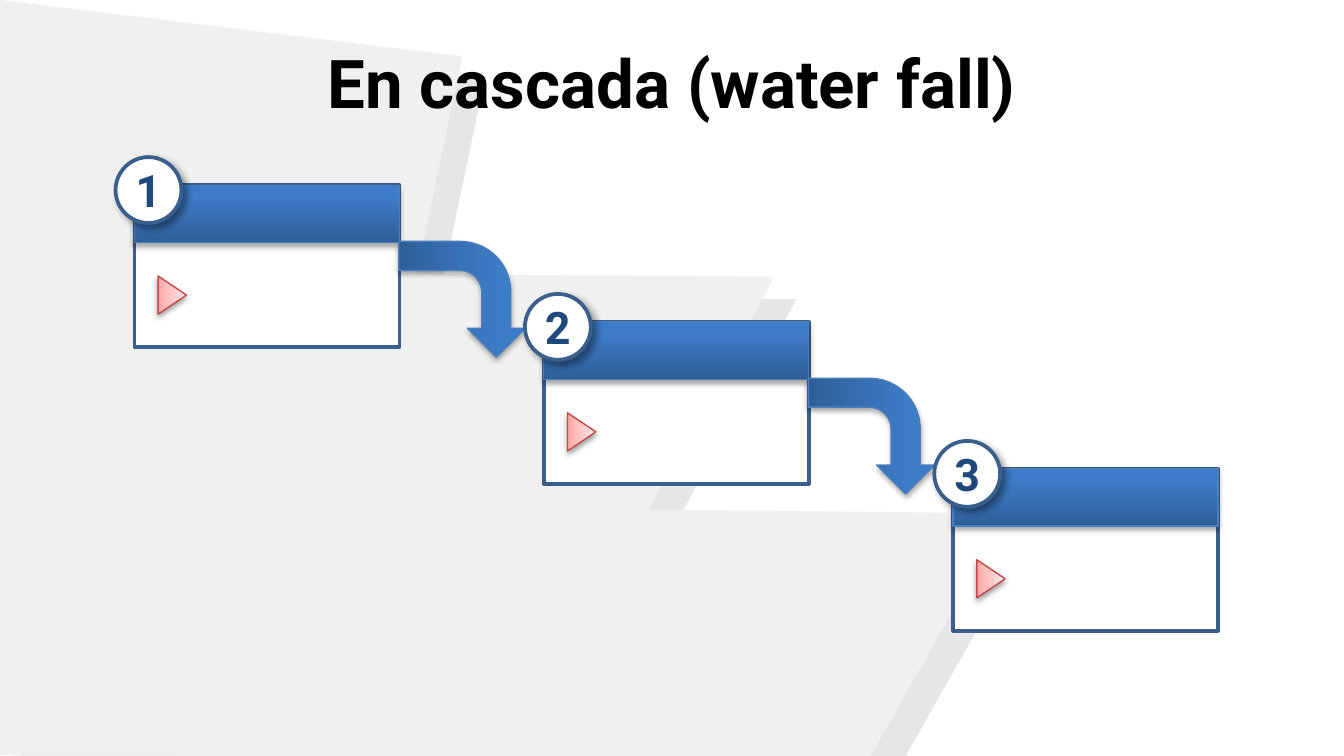
from pptx import Presentation
from pptx.dml.color import RGBColor
from pptx.enum.shapes import MSO_SHAPE
from pptx.enum.text import MSO_ANCHOR, PP_ALIGN
from pptx.oxml import parse_xml
from pptx.oxml.ns import nsdecls, qn
from pptx.util import Pt

COLORS = {
    "white": "FFFFFF", "black": "000000", "band": "F0F0F0", "band_shade": "E6E6E6",
    "frame": "3A5F8C", "edge": "4B7EBC", "number": "1F497D", "marker": "BF4C48",
}
BLUE = [(0, "2F5F99"), (80, "3D7CC7"), (100, "3A7CCB")]
PINK = [(0, "FFA6A5"), (35, "FFC0BF"), (100, "FFE7E7")]
SOFT = (35, 3.1, 1.8, 90)
FAINT = (38, 3.1, 1.6, 90)
DIAGONAL = (40, 4, 3, 45)
BAND = [(0, 0), (247.7, 30.2), (223.2, 146.9), (414.7, 148.3),
        (347.8, 272.9), (540, 275), (465.8, 406), (-0.7, 404.6)]


class Deck:
    font = "Roboto"

    def __init__(self):
        self.prs = Presentation()
        self.prs.slide_width, self.prs.slide_height = Pt(720), Pt(405)
        self.s = self.prs.slides.add_slide(self.prs.slide_layouts[6])

    def color(self, name):
        return RGBColor.from_string(COLORS[name])

    def polygon(self, points, fill, shift=0):
        pts = [(Pt(x + shift), Pt(y + shift)) for x, y in points]
        fb = self.s.shapes.build_freeform(*pts[0], scale=1.0)
        fb.add_line_segments(pts[1:], close=True)
        sp = fb.convert_to_shape()
        sp.shadow.inherit = False
        sp.fill.solid()
        sp.fill.fore_color.rgb = self.color(fill)
        sp.line.fill.background()

    def shape(self, kind, x, y, w, h, fill, line, width, shadow=None, rotation=0):
        sp = self.s.shapes.add_shape(kind, Pt(x), Pt(y), Pt(w), Pt(h))
        sp.rotation = rotation
        if isinstance(fill, list):
            self.gradient(sp, fill)
        else:
            sp.fill.solid()
            sp.fill.fore_color.rgb = self.color(fill)
        sp.line.color.rgb = self.color(line)
        sp.line.width = Pt(width)
        sp.shadow.inherit = False
        if shadow:
            self.shadow(sp, *shadow)
        return sp

    def gradient(self, sp, stops):
        sp.fill.gradient()
        sp.fill.gradient_angle = 90
        gs_list = next(sp._element.spPr.iter(qn("a:gsLst")))
        for gs in list(gs_list):
            gs_list.remove(gs)
        for pos, rgb in stops:
            gs_list.append(parse_xml(
                f'<a:gs {nsdecls("a")} pos="{pos * 1000}"><a:srgbClr val="{rgb}"/></a:gs>'))

    def shadow(self, sp, alpha, blur, dist, angle):
        sp._element.spPr.find(qn("a:effectLst")).append(parse_xml(
            f'<a:outerShdw {nsdecls("a")} blurRad="{Pt(blur)}" dist="{Pt(dist)}" '
            f'dir="{angle * 60000}" rotWithShape="0"><a:srgbClr val="{COLORS["black"]}">'
            f'<a:alpha val="{alpha * 1000}"/></a:srgbClr></a:outerShdw>'))

    def text(self, sp, text, size, color):
        tf = sp.text_frame
        tf.word_wrap = True
        tf.vertical_anchor = MSO_ANCHOR.MIDDLE
        tf.margin_left = tf.margin_right = tf.margin_top = tf.margin_bottom = 0
        p = tf.paragraphs[0]
        p.alignment = PP_ALIGN.CENTER
        r = p.add_run()
        r.text = text
        r.font.name, r.font.size, r.font.bold = self.font, Pt(size), True
        r.font.color.rgb = self.color(color)

    def title(self, text):
        sp = self.s.shapes.add_textbox(Pt(33.8), Pt(0), Pt(652.4), Pt(87.1))
        self.text(sp, text, 36, "black")

    def card(self, x, y, number):
        self.shape(MSO_SHAPE.RECTANGLE, x, y, 142, 86.6, "white", "frame", 2)
        self.shape(MSO_SHAPE.RECTANGLE, x, y, 142, 30.6, BLUE, "edge", 0.75, SOFT)
        sp = self.shape(MSO_SHAPE.OVAL, x - 10.1, y - 15.1, 35.3, 35.3,
                        "white", "frame", 2, DIAGONAL)
        self.text(sp, str(number), 24, "number")
        self.shape(MSO_SHAPE.ISOSCELES_TRIANGLE, x + 10.1, y + 51.2, 20.4, 15.2,
                   PINK, "marker", 0.75, FAINT, 90)

    def arrow(self, x, y):
        self.shape(MSO_SHAPE.BENT_ARROW, x, y, 62, 67.7, BLUE, "edge", 0.75, SOFT, 90)


def main():
    deck = Deck()
    deck.polygon(BAND, "band_shade", 12)
    deck.polygon(BAND, "band")
    deck.title("En cascada (water fall)")
    tops = [99.3, 172.6, 251.3]
    for i, y in enumerate(tops):
        x = 72 + 219.3 * i
        deck.card(x, y, i + 1)
        if i < len(tops) - 1:
            deck.arrow(x + 144.5, y + 27.2)
    deck.prs.save("out.pptx")


if __name__ == "__main__":
    main()
